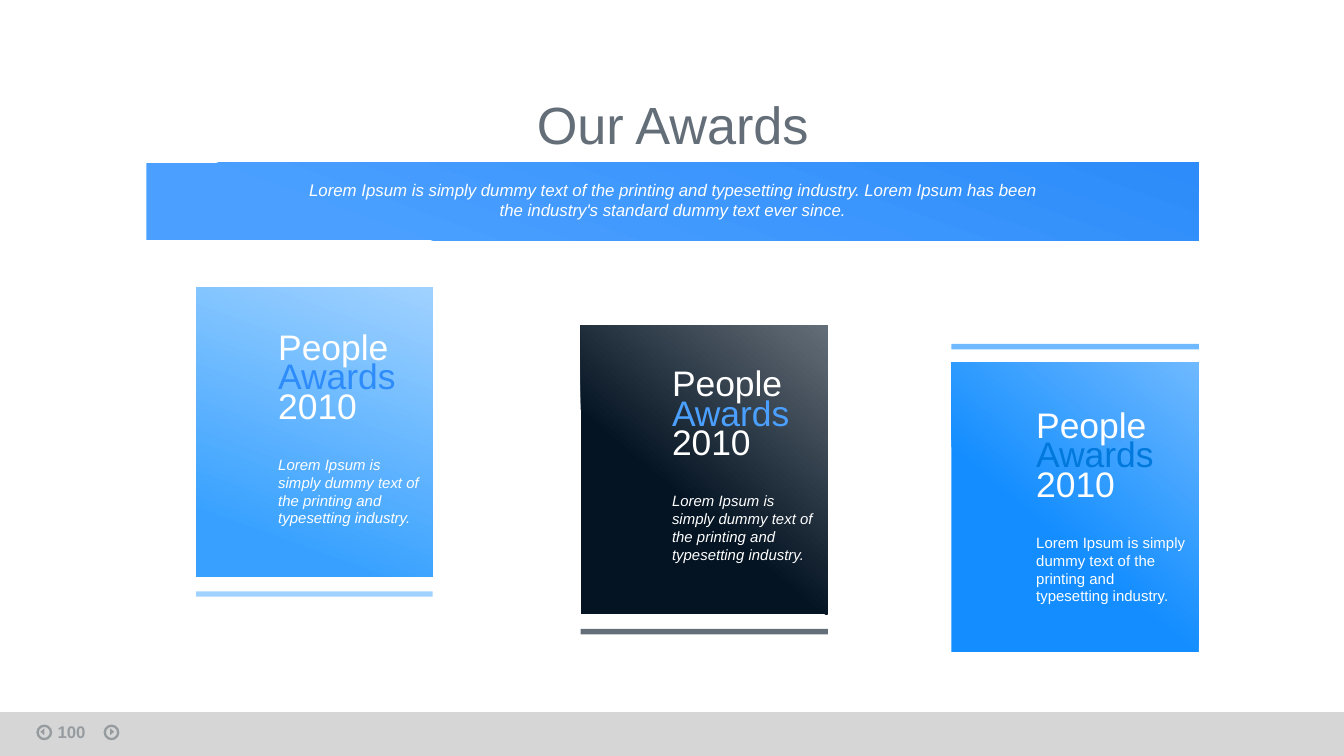
from dataclasses import dataclass

import pptx
import pptx.dml.color
import pptx.enum.shapes
import pptx.enum.text
import pptx.oxml
import pptx.oxml.ns
import pptx.util

Inches = pptx.util.Inches
Pt = pptx.util.Pt
RGBColor = pptx.dml.color.RGBColor
MSO_SHAPE = pptx.enum.shapes.MSO_SHAPE
PP_ALIGN = pptx.enum.text.PP_ALIGN
MSO_ANCHOR = pptx.enum.text.MSO_ANCHOR

WHITE = RGBColor(0xFF, 0xFF, 0xFF)
GREY = RGBColor(0xD2, 0xD2, 0xD2)
SLATE = RGBColor(0x64, 0x6E, 0x78)
NAVY = RGBColor(0x05, 0x14, 0x23)
SKY = RGBColor(0xA0, 0xD2, 0xFF)
AZURE = RGBColor(0x38, 0xA1, 0xFF)
LIGHT_BLUE = RGBColor(0x6E, 0xB9, 0xFF)
BRIGHT_BLUE = RGBColor(0x13, 0x8D, 0xFF)
BLUE = RGBColor(0x4B, 0xA0, 0xFF)
DEEP_BLUE = RGBColor(0x2D, 0x8C, 0xFA)
DARK_BLUE = RGBColor(0x00, 0x78, 0xDC)

FONT = "Arial"
LOREM = "Lorem Ipsum is simply dummy text of the printing and typesetting industry."
INTRO = LOREM + " Lorem Ipsum has been the industry's standard dummy text ever since."


@dataclass
class Box:
    x: float
    y: float
    w: float
    h: float

    def emu(self) -> list[int]:
        return [Inches(v) for v in (self.x, self.y, self.w, self.h)]


@dataclass
class Gradient:
    start: RGBColor
    end: RGBColor
    position: float
    angle: float


@dataclass
class Award:
    card: Box
    gradient: Gradient
    bar_y: float
    text_x: float
    text_y: float
    heading_w: float
    accent: RGBColor
    italic: bool = True


AWARDS = [
    Award(Box(7.08, 2.7, 1.84, 2.15), Gradient(BRIGHT_BLUE, LIGHT_BLUE, 0.4, 50),
          2.56, 7.71, 3.02, 0.99, DARK_BLUE, False),
    Award(Box(4.32, 2.42, 1.84, 2.15), Gradient(NAVY, SLATE, 0.4, 50),
          4.68, 5, 2.71, 0.95, BLUE),
    Award(Box(1.46, 2.14, 1.76, 2.15), Gradient(AZURE, SKY, 0.17, 70),
          4.4, 2.07, 2.44, 0.89, DEEP_BLUE),
]


def set_alpha(element, percent: int) -> None:
    for clr in element.iter(pptx.oxml.ns.qn("a:srgbClr")):
        alpha = pptx.oxml.parse_xml(
            f'<a:alpha {pptx.oxml.ns.nsdecls("a")} val="{percent * 1000}"/>')
        clr.append(alpha)


def add_solid(s, box: Box, color: RGBColor, kind=MSO_SHAPE.RECTANGLE):
    sp = s.shapes.add_shape(kind, *box.emu())
    sp.shadow.inherit = False
    sp.fill.solid()
    sp.fill.fore_color.rgb = color
    sp.line.fill.background()
    return sp


def add_gradient(s, box: Box, gradient: Gradient) -> None:
    sp = add_solid(s, box, gradient.start)
    sp.fill.gradient()
    sp.fill.gradient_angle = gradient.angle
    first, last = sp.fill.gradient_stops
    first.color.rgb = gradient.start
    first.position = gradient.position
    last.color.rgb = gradient.end
    last.position = 1


def set_frame(tf) -> None:
    tf.word_wrap = True
    tf.auto_size = pptx.enum.text.MSO_AUTO_SIZE.NONE
    tf.vertical_anchor = MSO_ANCHOR.MIDDLE
    tf.margin_left = tf.margin_top = tf.margin_right = tf.margin_bottom = 0


def add_run(p, text: str, size: float, color: RGBColor, italic=False, bold=False) -> None:
    r = p.add_run()
    r.text = text
    r.font.name = FONT
    r.font.size = Pt(size)
    r.font.color.rgb = color
    r.font.italic = italic
    r.font.bold = bold


def add_text(s, box: Box):
    tf = s.shapes.add_textbox(*box.emu()).text_frame
    set_frame(tf)
    return tf


def add_nav_button(s, x: float, triangle_x: float, rotation: float) -> None:
    ring = add_solid(s, Box(x, 5.4, 0.1, 0.1), NAVY, MSO_SHAPE.OVAL)
    ring.fill.background()
    ring.line.color.rgb = NAVY
    ring.line.width = Pt(1.25)
    arrow = add_solid(s, Box(triangle_x, 5.43, 0.05, 0.03), NAVY,
                      MSO_SHAPE.ISOSCELES_TRIANGLE)
    arrow.rotation = rotation
    for sp in (ring, arrow):
        set_alpha(sp.element.spPr, 30)


def add_award_text(s, award: Award) -> None:
    tf = add_text(s, Box(award.text_x, award.text_y, award.heading_w, 0.79))
    lines = [("People", WHITE), ("Awards", award.accent), ("2010", WHITE)]
    for i, (text, color) in enumerate(lines):
        p = tf.add_paragraph() if i else tf.paragraphs[0]
        p.line_spacing = 0.7
        add_run(p, text, 19, color)
    body = Box(award.text_x, award.text_y + 0.88, award.heading_w + 0.16, 0.67)
    add_run(add_text(s, body).paragraphs[0], LOREM, 8, WHITE, award.italic)


def main() -> None:
    prs = pptx.Presentation()
    prs.slide_width = Inches(10)
    prs.slide_height = prs.slide_width * 9 // 16
    s = prs.slides.add_slide(prs.slide_layouts[5])

    footer = add_solid(s, Box(0, 5.3, 10, 0.33), GREY)
    set_alpha(footer.element.spPr, 90)
    add_nav_button(s, 0.78, 0.81, 90)
    add_nav_button(s, 0.28, 0.29, 270)

    title = s.shapes.title
    title.left, title.top, title.width, title.height = Box(1.75, 0.72, 6.51, 0.52).emu()
    set_frame(title.text_frame)
    p = title.text_frame.paragraphs[0]
    p.alignment = PP_ALIGN.CENTER
    p.line_spacing = 0.7
    add_run(p, "Our Awards", 28, SLATE)

    add_gradient(s, Box(1.09, 1.21, 7.83, 0.58), Gradient(BLUE, DEEP_BLUE, 0.17, 70))
    p = add_text(s, Box(2.22, 1.31, 5.57, 0.35)).paragraphs[0]
    p.alignment = PP_ALIGN.CENTER
    add_run(p, INTRO, 9, WHITE, italic=True)

    for award in AWARDS:
        add_gradient(s, award.card, award.gradient)
        add_solid(s, Box(award.card.x, award.bar_y, award.card.w, 0.04), award.gradient.end)
        add_award_text(s, award)

    number = s.shapes.add_textbox(*Box(0.33, 5.32, 0.5, 0.21).emu())
    number.text_frame.word_wrap = True
    add_run(number.text_frame.paragraphs[0], "100", 9, NAVY, bold=True)
    set_alpha(number.element, 30)

    prs.save("out.pptx")


if __name__ == "__main__":
    main()
